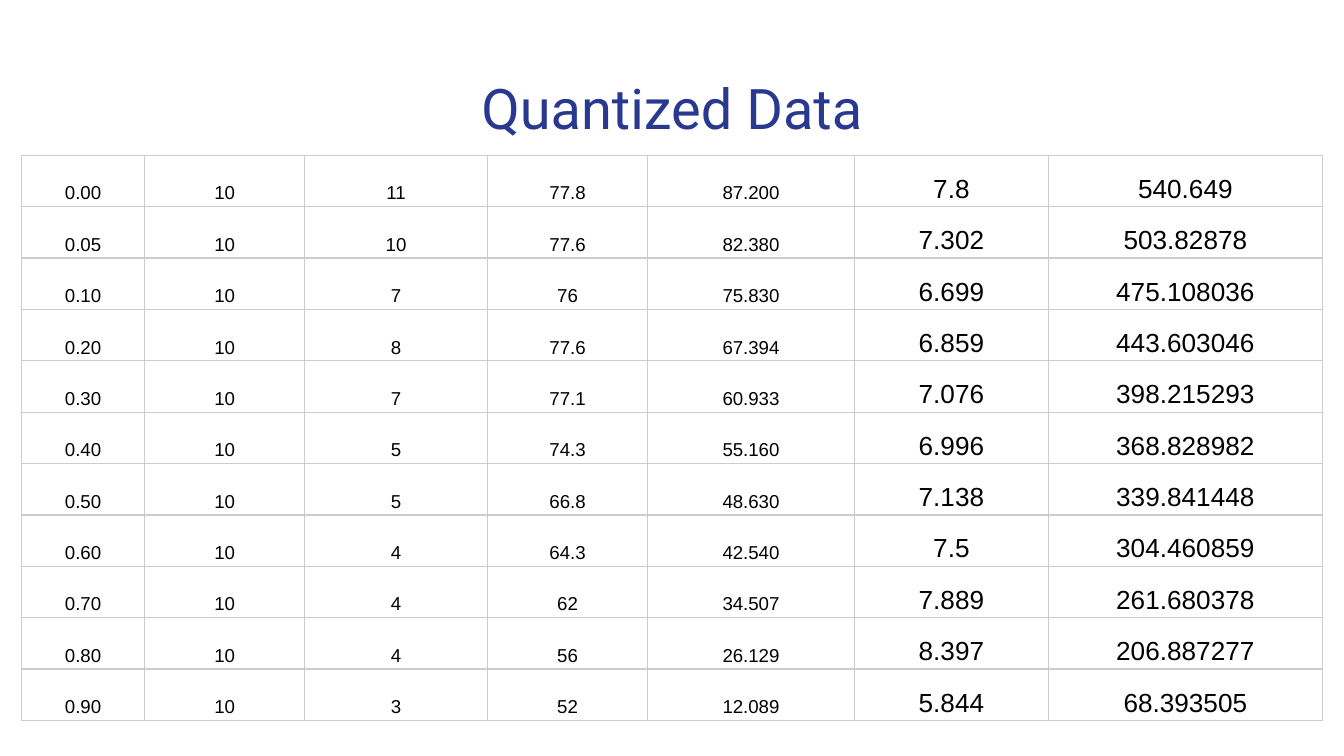
from lxml.etree import SubElement
from pptx import Presentation
from pptx.dml.color import RGBColor
from pptx.enum.text import MSO_ANCHOR, PP_ALIGN
from pptx.oxml.ns import qn
from pptx.util import Pt

COLORS = {"title": "2A3990", "text": "000000", "border": "CCCCCC"}
COLUMN_WIDTHS = [66, 85.7, 98, 85.7, 110.9, 103.9, 146.8]
ROW_HEIGHT = 27.54
MEASUREMENTS = [
    ["0.00", "10", "11", "77.8", "87.200", "7.8", "540.649"],
    ["0.05", "10", "10", "77.6", "82.380", "7.302", "503.82878"],
    ["0.10", "10", "7", "76", "75.830", "6.699", "475.108036"],
    ["0.20", "10", "8", "77.6", "67.394", "6.859", "443.603046"],
    ["0.30", "10", "7", "77.1", "60.933", "7.076", "398.215293"],
    ["0.40", "10", "5", "74.3", "55.160", "6.996", "368.828982"],
    ["0.50", "10", "5", "66.8", "48.630", "7.138", "339.841448"],
    ["0.60", "10", "4", "64.3", "42.540", "7.5", "304.460859"],
    ["0.70", "10", "4", "62", "34.507", "7.889", "261.680378"],
    ["0.80", "10", "4", "56", "26.129", "8.397", "206.887277"],
    ["0.90", "10", "3", "52", "12.089", "5.844", "68.393505"],
]


def add_text(para, text, font, size, color):
    para.alignment = PP_ALIGN.CENTER
    span = para.add_run()
    span.text = text
    span.font.name = font
    span.font.size = Pt(size)
    span.font.color.rgb = RGBColor.from_string(COLORS[color])


def add_borders(cell):
    properties = cell._tc.get_or_add_tcPr()
    for position, side in enumerate(["lnL", "lnR", "lnT", "lnB"]):
        line = properties.makeelement(qn(f"a:{side}"), {"w": str(Pt(0.75))})
        properties.insert(position, line)
        fill = SubElement(line, qn("a:solidFill"))
        SubElement(fill, qn("a:srgbClr"), val=COLORS["border"])


deck = Presentation()
deck.slide_width = Pt(720)
deck.slide_height = Pt(405)
page = deck.slides.add_slide(deck.slide_layouts[6])

title_box = page.shapes.add_textbox(Pt(24.5), Pt(32.4), Pt(671), Pt(47.5))
title_frame = title_box.text_frame
title_frame.word_wrap = True
title_frame.vertical_anchor = MSO_ANCHOR.TOP
title_frame.margin_left = title_frame.margin_right = Pt(7.2)
title_frame.margin_top = title_frame.margin_bottom = Pt(7.2)
add_text(title_frame.paragraphs[0], "Quantized Data", "Roboto", 30, "title")

table = page.shapes.add_table(
    len(MEASUREMENTS), len(COLUMN_WIDTHS), Pt(11.5), Pt(83.2),
    Pt(sum(COLUMN_WIDTHS)), Pt(ROW_HEIGHT * len(MEASUREMENTS)),
).table
table.first_row = False
table.horz_banding = False
for column, width in zip(table.columns, COLUMN_WIDTHS):
    column.width = Pt(width)

for row_index, values in enumerate(MEASUREMENTS):
    table.rows[row_index].height = Pt(ROW_HEIGHT)
    for column_index, value in enumerate(values):
        cell = table.cell(row_index, column_index)
        cell.fill.background()
        cell.vertical_anchor = MSO_ANCHOR.BOTTOM
        cell.margin_left = cell.margin_right = Pt(2.25)
        cell.margin_top = cell.margin_bottom = Pt(1.5)
        para = cell.text_frame.paragraphs[0]
        para.line_spacing = 1.15
        add_text(para, value, "Arial", 10 if column_index < 5 else 14, "text")
        add_borders(cell)

deck.save("out.pptx")
